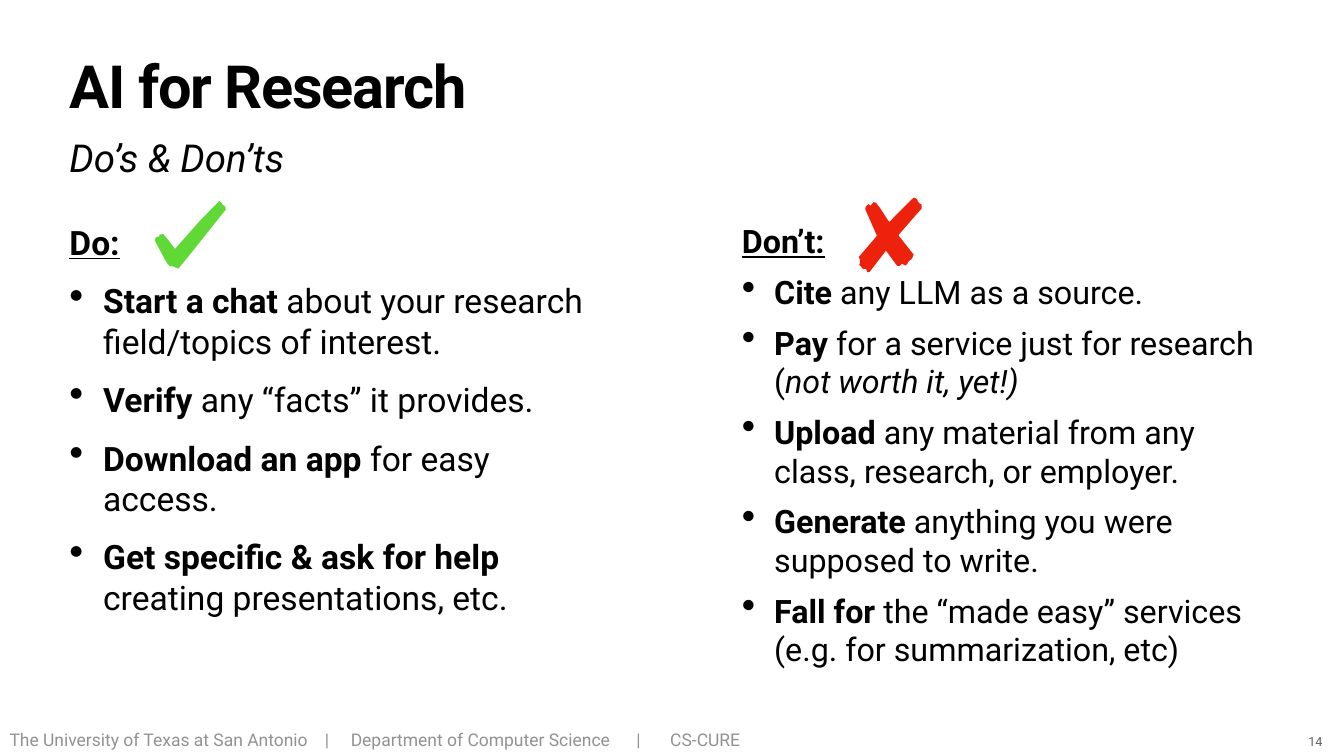
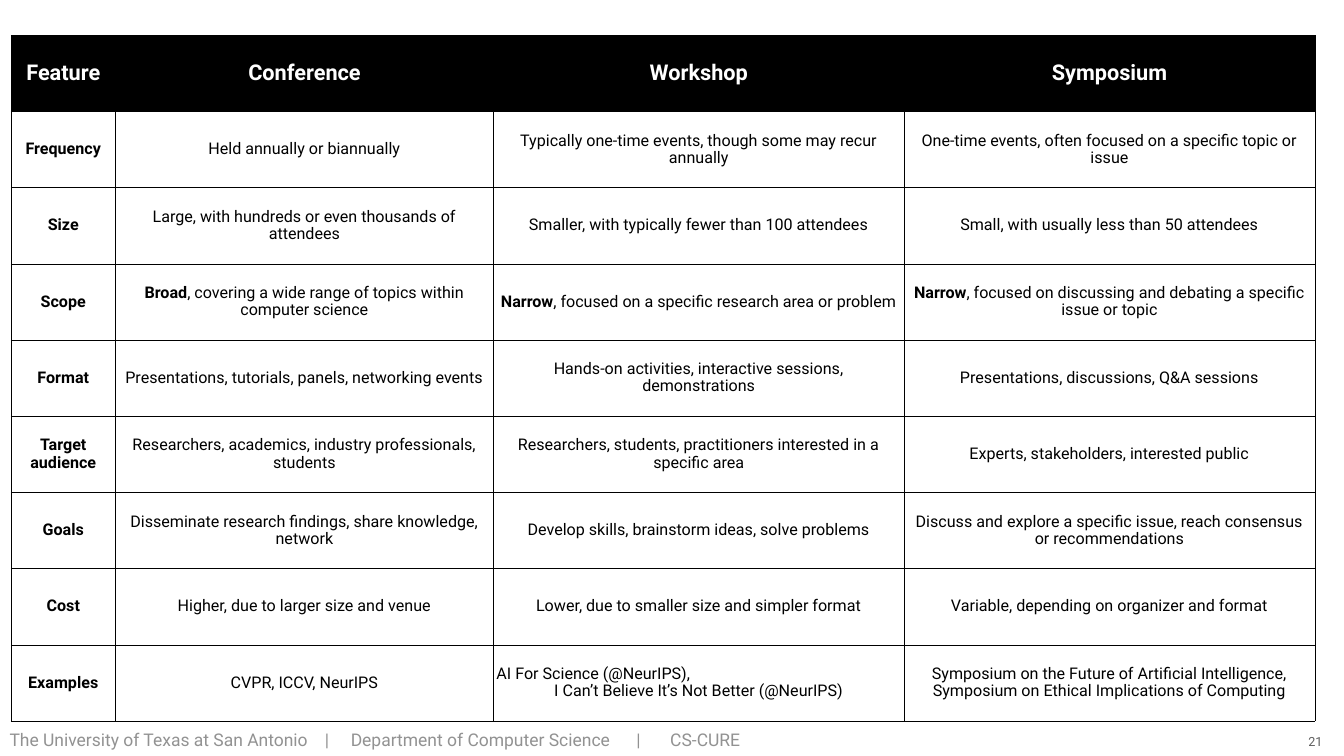
from dataclasses import dataclass
from typing import Any, NamedTuple

from lxml.etree import SubElement
from pptx import Presentation
from pptx.dml.color import RGBColor
from pptx.enum.text import MSO_ANCHOR as Anchor, MSO_AUTO_SIZE as AutoSize, PP_ALIGN as Align
from pptx.oxml.ns import qn
from pptx.util import Cm, Pt

BLACK = RGBColor(0x00, 0x00, 0x00)
WHITE = RGBColor(0xFF, 0xFF, 0xFF)
FOOTER_GRAY = RGBColor(0x92, 0x92, 0x92)
NUMBER_GRAY = RGBColor(0x5E, 0x5E, 0x5E)
CHECK_GREEN = RGBColor(0x60, 0xD9, 0x37)
CROSS_RED = RGBColor(0xED, 0x22, 0x0D)

FONT = "Roboto"
INSET = Cm(0.15)
LEFT = 3.35
LIST_TOP = 11.02
FOOTER_TABS = (15.9, 17.2, 31.6, 33.3)
FOOTER = "\t".join(("The University of Texas at San Antonio", "|",
                    "Department of Computer Science", "|", "CS-CURE"))


class Box(NamedTuple):
    left: float
    top: float
    width: float
    height: float


class Span(NamedTuple):
    text: str
    style: dict[str, Any] = {}


@dataclass
class AdviceList:
    box: Box
    heading: str
    size: float
    gap: float
    indent: float
    items: list[tuple[Span, ...]]


@dataclass
class Mark:
    left: float
    top: float
    color: RGBColor
    points: list[tuple[int, int]]


BOLD = {"bold": True}
ITALIC = {"italic": True}

DO = AdviceList(
    Box(LEFT, LIST_TOP, 26.34, 22.94), "Do:", 48, 26, 1.7,
    [
        (Span("Start a chat", BOLD), Span(" about your research field/topics of interest.")),
        (Span("Verify", BOLD), Span(" any “facts” it provides.")),
        (Span("Download an app", BOLD), Span(" for easy access.")),
        (Span("Get specific & ask for help ", BOLD), Span("creating presentations, etc.")),
    ],
)
DONT = AdviceList(
    Box(37.24, LIST_TOP, 26.34, 24.49), "Don’t:", 46.1, 17, 1.63,
    [
        (Span("Cite", BOLD), Span(" any LLM as a source.")),
        (Span("Pay", BOLD), Span(" for a service just for research ("),
         Span("not worth it, yet!)", ITALIC)),
        (Span("Upload", BOLD), Span(" any material from any class, research, or employer.")),
        (Span("Generate", BOLD), Span(" anything you were supposed to write.")),
        (Span("Fall for ", BOLD),
         Span("the “made easy” services (e.g. for summarization, etc)")),
    ],
)

CHECK = Mark(7.8, 10.13, CHECK_GREEN, [
    (128, 0), (89, 40), (42, 93), (40, 95), (38, 92), (24, 74), (17, 66), (14, 66),
    (9, 67), (9, 70), (1, 73), (1, 76), (0, 78), (21, 118), (29, 129), (37, 130),
    (47, 134), (66, 111), (137, 22), (141, 17), (140, 11), (137, 9), (133, 6), (133, 4),
])
CROSS = Mark(43.28, 9.96, CROSS_RED, [
    (110, 0), (107, 2), (63, 46), (61, 48), (58, 45), (42, 20), (34, 10), (30, 9),
    (27, 12), (24, 16), (19, 13), (14, 18), (13, 23), (35, 73), (36, 76), (0, 118),
    (3, 124), (3, 128), (2, 131), (1, 133), (9, 142), (13, 141), (15, 142), (17, 148),
    (21, 148), (22, 147), (52, 108), (54, 105), (57, 109), (76, 135), (81, 136),
    (86, 131), (93, 135), (96, 132), (98, 128), (102, 124), (106, 121), (109, 113),
    (79, 75), (81, 72), (120, 27), (125, 22), (125, 14), (121, 12), (117, 7),
    (117, 5), (114, 2),
])

COLUMN_WIDTHS = (5.26, 19.05, 20.7, 20.7)
ROW_HEIGHT = 3.84
EVENTS = [
    ("Feature", "Conference", "Workshop", "Symposium"),
    ("Frequency", "Held annually or biannually",
     "Typically one-time events, though some may recur annually",
     "One-time events, often focused on a specific topic or issue"),
    ("Size", "Large, with hundreds or even thousands of attendees",
     "Smaller, with typically fewer than 100 attendees",
     "Small, with usually less than 50 attendees"),
    ("Scope",
     (Span("Broad", BOLD), Span(", covering a wide range of topics within computer science")),
     (Span("Narrow", BOLD), Span(", focused on a specific research area or problem")),
     (Span("Narrow", BOLD),
      Span(", focused on discussing and debating a specific issue or topic"))),
    ("Format", "Presentations, tutorials, panels, networking events",
     "Hands-on activities, interactive sessions, demonstrations",
     "Presentations, discussions, Q&A sessions"),
    ("Target audience", "Researchers, academics, industry professionals, students",
     "Researchers, students, practitioners interested in a specific area",
     "Experts, stakeholders, interested public"),
    ("Goals", "Disseminate research findings, share knowledge, network",
     "Develop skills, brainstorm ideas, solve problems",
     "Discuss and explore a specific issue, reach consensus or recommendations"),
    ("Cost", "Higher, due to larger size and venue",
     "Lower, due to smaller size and simpler format",
     "Variable, depending on organizer and format"),
    ("Examples", "CVPR, ICCV, NeurIPS",
     "AI For Science (@NeurIPS),\nI Can’t Believe It’s Not Better (@NeurIPS)",
     "Symposium on the Future of Artificial Intelligence, "
     "Symposium on Ethical Implications of Computing"),
]


def set_all(target: Any, values: dict[str, Any]) -> None:
    for name, value in values.items():
        setattr(target, name, value)


def add_span(p: Any, span: Span, size: float, color: RGBColor) -> Any:
    r = p.add_run()
    r.text = span.text
    r.font.color.rgb = color
    set_all(r.font, {"name": FONT, "size": Pt(size), "bold": False} | span.style)
    return r


def add_box(s: Any, box: Box, **frame: Any) -> Any:
    tf = s.shapes.add_textbox(*map(Cm, box)).text_frame
    margins = dict.fromkeys(
        ("margin_left", "margin_top", "margin_right", "margin_bottom"), INSET)
    set_all(tf, {"word_wrap": True} | margins | frame)
    return tf


def add_line(s: Any, box: Box, span: Span, size: float, color: RGBColor,
             spacing: float = 1.0, **frame: Any) -> Any:
    p = add_box(s, box, **frame).paragraphs[0]
    p.line_spacing = spacing
    add_span(p, span, size, color)
    return p


def add_footer(s: Any) -> None:
    p = add_line(s, Box(0.33, 36.7, 64.72, 1.32), Span(FOOTER), 25, FOOTER_GRAY, 0.9,
                 vertical_anchor=Anchor.MIDDLE, auto_size=AutoSize.SHAPE_TO_FIT_TEXT)
    tabs = SubElement(p._p.get_or_add_pPr(), qn("a:tabLst"))
    for pos in FOOTER_TABS:
        SubElement(tabs, qn("a:tab"), pos=str(Cm(pos)), algn="l")


def add_number(s: Any, number: int) -> None:
    p = add_line(s, Box(65.79, 36.86, 1.02, 1.04), Span(str(number)), 18, NUMBER_GRAY,
                 vertical_anchor=Anchor.BOTTOM, word_wrap=False,
                 auto_size=AutoSize.SHAPE_TO_FIT_TEXT)
    p.alignment = Align.CENTER


def add_title(s: Any, title: str, subtitle: str) -> None:
    p = add_line(s, Box(LEFT, 3, 61.04, 3.99), Span(title, BOLD), 85, BLACK, 0.8)
    p.runs[0]._r.get_or_add_rPr().set("spc", "-170")
    add_line(s, Box(LEFT, 6.6, 61.04, 2.59), Span(subtitle, ITALIC), 55, BLACK)


def add_advice(s: Any, advice: AdviceList) -> None:
    tf = add_box(s, advice.box)
    heading = Span(advice.heading, BOLD | {"underline": True})
    add_span(tf.paragraphs[0], heading, advice.size, BLACK)
    for item in advice.items:
        p = tf.add_paragraph()
        p.space_before = Pt(advice.gap)
        pPr = p._p.get_or_add_pPr()
        pPr.set("marL", str(Cm(advice.indent)))
        pPr.set("indent", str(-Cm(advice.indent)))
        SubElement(pPr, qn("a:buSzPct"), val="123000")
        SubElement(pPr, qn("a:buChar"), char="•")
        for span in item:
            add_span(p, span, advice.size, BLACK)


def add_mark(s: Any, mark: Mark) -> None:
    start, *rest = mark.points
    builder = s.shapes.build_freeform(*start, scale=Cm(2.54) / 100)
    builder.add_line_segments(rest, close=True)
    sp = builder.convert_to_shape(Cm(mark.left), Cm(mark.top))
    sp.shadow.inherit = False
    sp.fill.solid()
    sp.fill.fore_color.rgb = mark.color
    sp.line.fill.background()


def set_borders(cell: Any, widths: dict[str, int]) -> None:
    tcPr = cell._tc.get_or_add_tcPr()
    for side in "LRTB":
        ln = SubElement(tcPr, qn(f"a:ln{side}"), w=str(Pt(widths.get(side, 1))))
        fill = SubElement(ln, qn("a:solidFill"))
        SubElement(fill, qn("a:srgbClr"), val=str(BLACK))


def fill_cell(cell: Any, content: Any, row: int, col: int) -> None:
    header = row == 0
    borders = {"B": 3} if header else {0: {"R": 3}, 1: {"L": 3}}.get(col, {})
    set_borders(cell, borders)
    if header:
        cell.fill.solid()
        cell.fill.fore_color.rgb = BLACK
    else:
        cell.fill.background()
    set_all(cell, {"vertical_anchor": Anchor.MIDDLE, "margin_left": INSET,
                   "margin_right": INSET, "margin_top": INSET, "margin_bottom": INSET})
    if isinstance(content, str):
        style = {"bold": header or col == 0}
        lines = [(Span(text, style),) for text in content.split("\n")]
    else:
        lines = [content]
    tf = cell.text_frame
    for i, spans in enumerate(lines):
        p = tf.add_paragraph() if i else tf.paragraphs[0]
        last = i == len(lines) - 1
        set_all(p, {"line_spacing": 0.9, "alignment": Align.CENTER if last else Align.LEFT})
        for span in spans:
            add_span(p, span, 31 if header else 23, WHITE if header else BLACK)


def add_events_table(s: Any) -> None:
    frame = s.shapes.add_table(
        len(EVENTS), len(COLUMN_WIDTHS), Cm(0.56), Cm(1.78),
        Cm(sum(COLUMN_WIDTHS)), Cm(ROW_HEIGHT * len(EVENTS)))
    table = frame.table
    table.horz_banding = False
    for column, width in zip(table.columns, COLUMN_WIDTHS):
        column.width = Cm(width)
    for row, contents in enumerate(EVENTS):
        table.rows[row].height = Cm(ROW_HEIGHT)
        for col, content in enumerate(contents):
            fill_cell(table.cell(row, col), content, row, col)


def add_slide(prs: Any, number: int) -> Any:
    s = prs.slides.add_slide(prs.slide_layouts[6])
    s.background.fill.solid()
    s.background.fill.fore_color.rgb = WHITE
    add_footer(s)
    add_number(s, number)
    return s


def main() -> None:
    prs = Presentation()
    set_all(prs, {"slide_width": Cm(67.74), "slide_height": Cm(38.1)})

    s = add_slide(prs, 14)
    add_title(s, "AI for Research", "Do’s & Don’ts")
    for advice, mark in ((DO, CHECK), (DONT, CROSS)):
        add_advice(s, advice)
        add_mark(s, mark)

    s = add_slide(prs, 21)
    add_events_table(s)

    prs.save("out.pptx")


if __name__ == "__main__":
    main()
